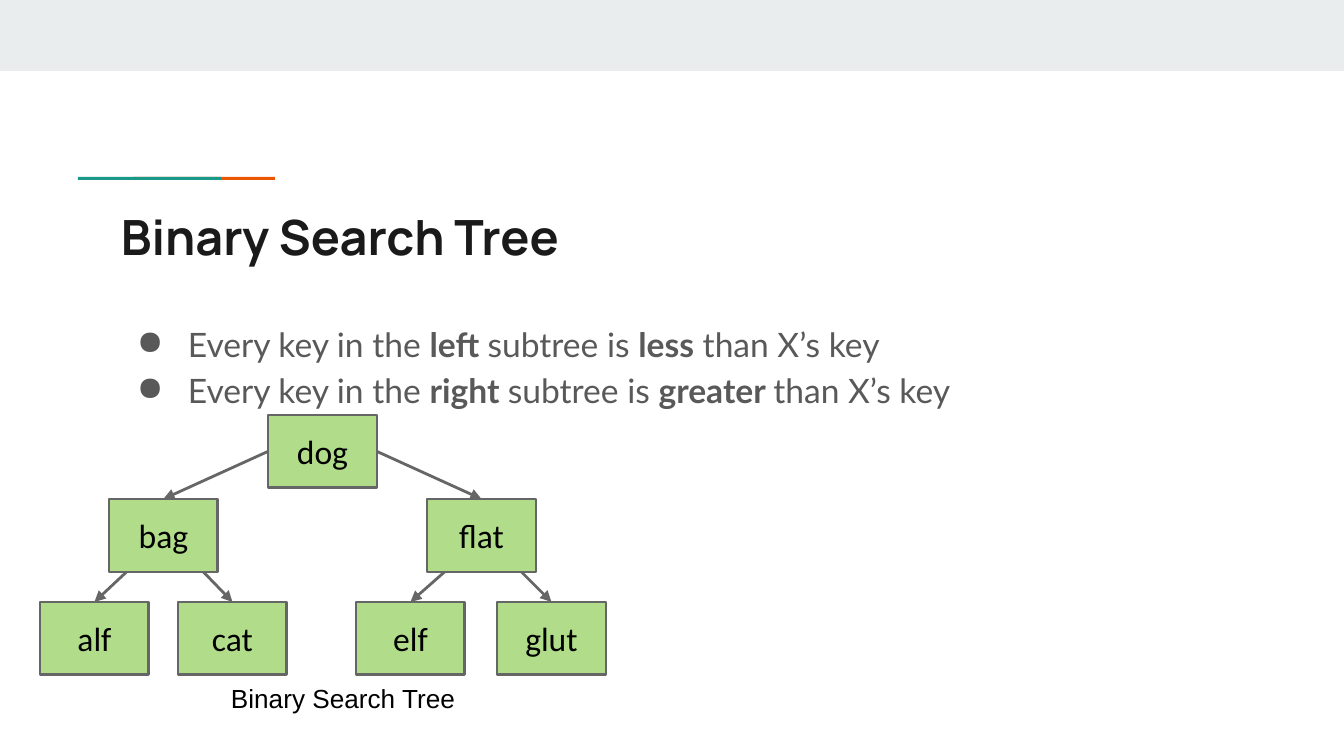
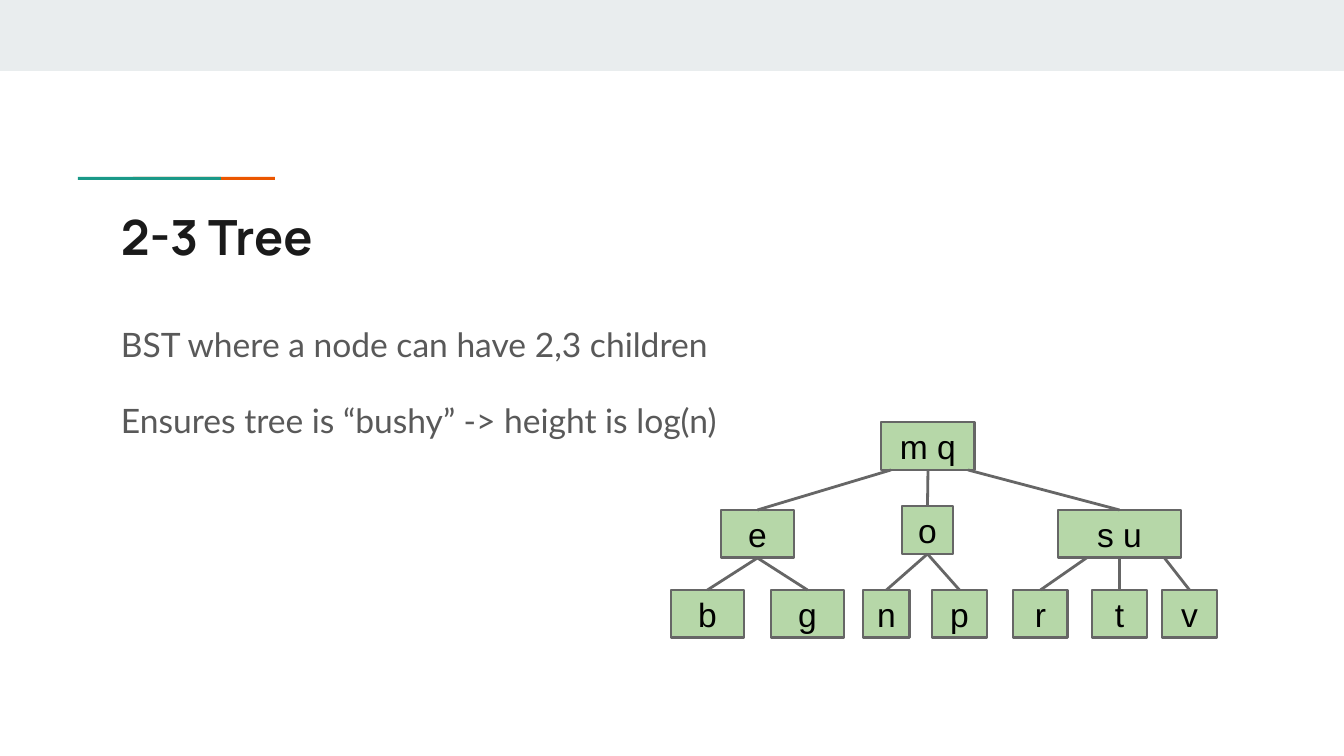
from lxml import etree
from pptx import Presentation
from pptx.dml.color import RGBColor
from pptx.enum.shapes import MSO_CONNECTOR, MSO_SHAPE
from pptx.enum.text import MSO_ANCHOR, PP_ALIGN
from pptx.oxml.ns import qn
from pptx.util import Pt

WIDTH, HEIGHT = 1344, 756
SCALE = 9144000 / WIDTH
INSET = 13

WHITE = RGBColor(0xFF, 0xFF, 0xFF)
BLACK = RGBColor(0x00, 0x00, 0x00)
BAND = RGBColor(0xE9, 0xED, 0xEE)
ORANGE = RGBColor(0xEB, 0x56, 0x00)
TEAL = RGBColor(0x1A, 0x99, 0x88)
TITLE = RGBColor(0x1A, 0x1A, 0x1A)
BODY = RGBColor(0x59, 0x59, 0x59)
LINE = RGBColor(0x66, 0x66, 0x66)
LIME = RGBColor(0xB1, 0xDD, 0x8B)
SAGE = RGBColor(0xB6, 0xD7, 0xA8)

RECT = MSO_SHAPE.RECTANGLE
STRAIGHT = MSO_CONNECTOR.STRAIGHT
CENTER = PP_ALIGN.CENTER
MIDDLE = MSO_ANCHOR.MIDDLE
TOP, LEFT, BOTTOM, RIGHT = range(4)


def px(n):
    return round(n * SCALE)


def set_font(r, name, size, color, bold=False):
    r.font.name = name
    r.font.size = Pt(size)
    r.font.color.rgb = color
    r.font.bold = bold


def set_frame(tf):
    tf.word_wrap = True
    tf.margin_left = tf.margin_top = px(INSET)
    tf.margin_right = tf.margin_bottom = px(INSET)


def add_rect(s, x, y, w, h, fill):
    sp = s.shapes.add_shape(RECT, px(x), px(y), px(w), px(h))
    sp.shadow.inherit = False
    sp.fill.solid()
    sp.fill.fore_color.rgb = fill
    sp.line.fill.background()
    return sp


def add_text_box(s, x, y, w, h):
    tf = s.shapes.add_textbox(px(x), px(y), px(w), px(h)).text_frame
    set_frame(tf)
    return tf


def add_label(s, x, y, w, h, text, *font):
    p = add_text_box(s, x, y, w, h).paragraphs[0]
    p.text = text
    set_font(p.runs[0], *font)


def add_titled_slide(prs, title):
    s = prs.slides.add_slide(prs.slide_layouts[6])
    s.background.fill.solid()
    s.background.fill.fore_color.rgb = WHITE
    add_rect(s, 0, 0, WIDTH, 71, BAND)
    add_rect(s, 133, 177, 142, 3, ORANGE)
    add_rect(s, 78, 177, 143, 3, TEAL)
    add_label(s, 108, 194, 1130, 79, title, "Manrope", 26, TITLE, True)
    return s


def add_bullet(p):
    pPr = p._p.get_or_add_pPr()
    pPr.set("marL", str(px(67)))
    pPr.set("indent", str(px(-51)))
    color = etree.SubElement(pPr, qn("a:buClr"))
    etree.SubElement(color, qn("a:srgbClr"), val=str(BODY))
    etree.SubElement(pPr, qn("a:buChar"), char="●")


def add_body(s, paragraphs, bullets=False, gap=0):
    """Each paragraph lists its runs, regular and bold in turn."""
    tf = add_text_box(s, 108, 305, 1130, 332)
    for i, parts in enumerate(paragraphs):
        p = tf.add_paragraph() if i else tf.paragraphs[0]
        p.line_spacing = 1.15
        p.space_before = Pt(gap if i else 0)
        if bullets:
            add_bullet(p)
        for j, text in enumerate(parts):
            r = p.add_run()
            r.text = text
            set_font(r, "Lato", 18, BODY, j % 2 == 1)


def add_nodes(s, nodes, h, fill, font):
    """Return the drawn boxes by key; nodes are (key, x, y, width)."""
    boxes = {}
    for key, x, y, w in nodes:
        sp = add_rect(s, x, y, w, h, fill)
        sp.line.color.rgb = LINE
        sp.line.width = Pt(1.5)
        tf = sp.text_frame
        set_frame(tf)
        tf.vertical_anchor = MIDDLE
        p = tf.paragraphs[0]
        p.text = key
        p.alignment = CENTER
        set_font(p.runs[0], font, 18, BLACK)
        boxes[key] = sp
    return boxes


def add_edge(s, parent, child, side=BOTTOM, shift=0, arrow=False):
    """Join parent to child's top; shift moves the start off the bottom's middle."""
    x = parent.left + parent.width // 2 + px(shift)
    y = parent.top + parent.height
    c = s.shapes.add_connector(STRAIGHT, x, y, x, y)
    if not shift:
        c.begin_connect(parent, side)
    c.end_connect(child, TOP)
    c.line.color.rgb = LINE
    c.line.width = Pt(1.5)
    if arrow:
        etree.SubElement(c.line._get_or_add_ln(), qn("a:tailEnd"), type="triangle")
    etree.SubElement(c._element.spPr, qn("a:effectLst"))


def add_binary_tree_slide(prs):
    s = add_titled_slide(prs, "Binary Search Tree")
    add_body(s, [
        ("Every key in the ", "left ", "subtree is ", "less", " than X’s key"),
        ("Every key in the ", "right ", "subtree is ", "greater ", "than X’s key"),
    ], bullets=True)
    places = [
        ("dog", 268, 415), ("bag", 109, 499), ("flat", 427, 499),
        ("alf", 40, 602), ("cat", 178, 602), ("elf", 356, 602), ("glut", 497, 602),
    ]
    boxes = add_nodes(s, [(*place, 109) for place in places], 73, LIME, "Calibri")
    for parent, child, side, shift in [
        ("dog", "bag", LEFT, 0), ("dog", "flat", RIGHT, 0),
        ("bag", "alf", BOTTOM, -37), ("bag", "cat", BOTTOM, 40),
        ("flat", "elf", BOTTOM, -37), ("flat", "glut", BOTTOM, 40),
    ]:
        add_edge(s, boxes[parent], boxes[child], side, shift, arrow=True)
    add_label(s, 218, 669, 254, 42, "Binary Search Tree", "Arial", 14, BLACK)


def add_two_three_tree_slide(prs):
    s = add_titled_slide(prs, "2-3 Tree")
    add_body(s, [
        ("BST where a node can have 2,3 children",),
        ("Ensures tree is “bushy” -> height is log(n)",),
    ], gap=16)
    boxes = add_nodes(s, [
        ("m q", 881, 422, 94),
        ("e", 721, 510, 73), ("o", 902, 506, 51), ("s u", 1058, 510, 123),
        ("b", 671, 590, 73), ("g", 771, 590, 73),
        ("n", 863, 590, 47), ("p", 932, 590, 55),
        ("r", 1013, 590, 55), ("t", 1092, 590, 55), ("v", 1162, 590, 55),
    ], 48, SAGE, "Arial")
    for parent, child, shift in [
        ("m q", "e", -37), ("m q", "o", 0), ("m q", "s u", 40),
        ("e", "b", 0), ("e", "g", 0), ("o", "n", 0), ("o", "p", 0),
        ("s u", "r", -33), ("s u", "t", 0), ("s u", "v", 45),
    ]:
        add_edge(s, boxes[parent], boxes[child], shift=shift)


def main():
    prs = Presentation()
    prs.slide_width, prs.slide_height = px(WIDTH), px(HEIGHT)
    add_binary_tree_slide(prs)
    add_two_three_tree_slide(prs)
    prs.save("out.pptx")


if __name__ == "__main__":
    main()
